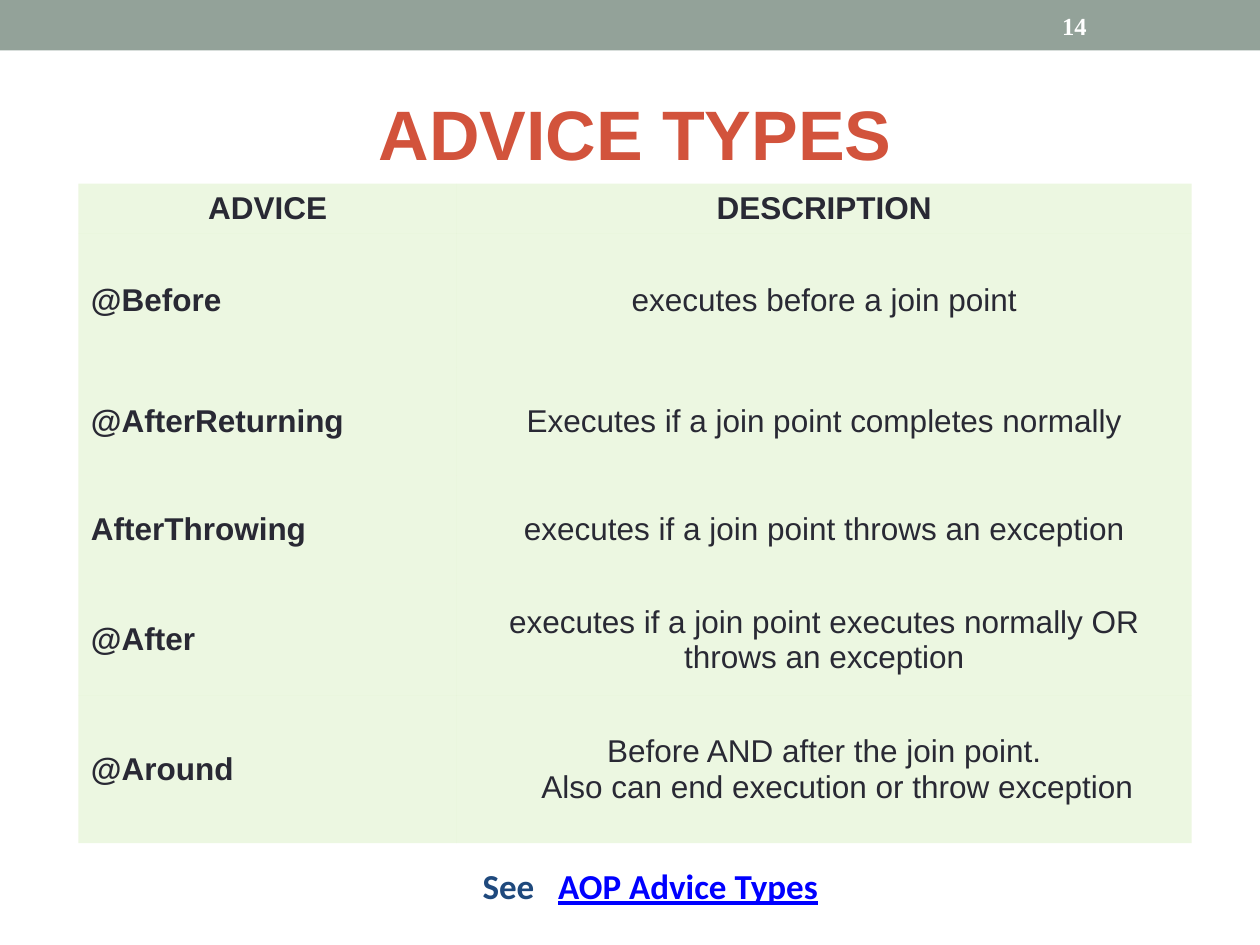
from dataclasses import dataclass

from lxml.etree import SubElement
from pptx import Presentation
from pptx.dml.color import RGBColor as Rgb
from pptx.enum.shapes import MSO_SHAPE as Shape
from pptx.enum.text import MSO_ANCHOR as Anchor, PP_ALIGN as Align
from pptx.oxml.ns import qn
from pptx.util import Cm, Pt


@dataclass(frozen=True)
class Theme:
    """Colours, fonts and type sizes of the slide."""
    bar: str = "93A299"
    title: str = "D2533C"
    body: str = "292934"
    cell: str = "92D050"
    cell_opacity: int = 17
    note: str = "1F497D"
    link: str = "0000FF"
    white: str = "FFFFFF"
    sans: str = "Arial"
    note_font: str = "Calibri"
    number_font: str = "Times New Roman"
    title_size: int = 40
    body_size: int = 18
    note_size: int = 20
    number_size: int = 14


THEME = Theme()
NO_GRID_STYLE = "{2D5ABB26-0587-4C30-8999-92F81FD0307C}"
HEADINGS = ("ADVICE", "DESCRIPTION")
ADVICE = (
    ("@Before", "executes before a join point"),
    ("@AfterReturning", "Executes if a join point completes normally"),
    ("AfterThrowing", "executes if a join point throws an exception"),
    ("@After", "executes if a join point executes normally OR throws an exception"),
    ("@Around", "Before AND after the join point.\nAlso can end execution or throw exception"),
)
COLUMN_WIDTHS = (7.63, 14.81)
ROW_HEIGHTS = (0.98, 2.69, 2.18, 2.18, 2.26, 2.97)


def add_run(paragraph, text, *, size, color, font=THEME.sans, bold=True,
            underline=None, spacing=0):
    """Append formatted text to a paragraph."""
    run = paragraph.add_run()
    run.text = text
    run.font.size, run.font.name = Pt(size), font
    run.font.bold, run.font.underline = bold, underline
    run.font.color.rgb = Rgb.from_string(color)
    if spacing:
        run.font._element.set("spc", str(spacing * 100))


def add_text_box(slide, box, *, align=Align.LEFT, anchor=Anchor.TOP):
    """Add a wrapping text box and return its first paragraph."""
    frame = slide.shapes.add_textbox(*map(Cm, box)).text_frame
    frame.word_wrap = True
    frame.vertical_anchor = anchor
    frame.paragraphs[0].alignment = align
    return frame.paragraphs[0]


def add_top_bar(slide, left, top, width, height):
    """Draw the bar with the slide number near its right end."""
    bar = slide.shapes.add_shape(Shape.RECTANGLE, Cm(left), Cm(top), Cm(width), Cm(height))
    bar.shadow.inherit = False
    bar.fill.solid()
    bar.fill.fore_color.rgb = Rgb.from_string(THEME.bar)
    bar.line.fill.background()
    number = add_text_box(slide, (left + width - 4.24, top + 0.05, 2.97, height - 0.1),
                          anchor=Anchor.MIDDLE)
    add_run(number, "14", size=THEME.number_size, color=THEME.white, font=THEME.number_font)


def add_title(slide, *box):
    """Write the centred title."""
    title = add_text_box(slide, box, align=Align.CENTER)
    add_run(title, "ADVICE TYPES", size=THEME.title_size, color=THEME.title)


def fill_cell(cell, text, *, align, bold):
    """Tint a cell and write one paragraph for each line of text."""
    cell.vertical_anchor = Anchor.MIDDLE
    cell.fill.solid()
    cell.fill.fore_color.rgb = Rgb.from_string(THEME.cell)
    color = cell._tc.tcPr.find(".//" + qn("a:srgbClr"))
    SubElement(color, qn("a:alpha")).set("val", str(THEME.cell_opacity * 1000))
    for index, line in enumerate(text.split("\n")):
        frame = cell.text_frame
        paragraph = frame.add_paragraph() if index else frame.paragraphs[0]
        paragraph.alignment = align
        if index:
            paragraph._p.get_or_add_pPr().set("marL", str(Pt(15)))
        add_run(paragraph, line, size=THEME.body_size, color=THEME.body, bold=bold)


def add_advice_table(slide, left, top):
    """Build the table of advice types and their descriptions."""
    rows = (HEADINGS, *ADVICE)
    table = slide.shapes.add_table(
        len(rows), len(HEADINGS), Cm(left), Cm(top),
        Cm(sum(COLUMN_WIDTHS)), Cm(sum(ROW_HEIGHTS))).table
    table.first_row = table.horz_banding = False
    table._tbl.tblPr.find(qn("a:tableStyleId")).text = NO_GRID_STYLE
    for column, width in zip(table.columns, COLUMN_WIDTHS):
        column.width = Cm(width)
    for row, height in zip(table.rows, ROW_HEIGHTS):
        row.height = Cm(height)
    for r, texts in enumerate(rows):
        for c, text in enumerate(texts):
            heading, name = r == 0, c == 0
            fill_cell(table.cell(r, c), text, bold=heading or name,
                      align=Align.LEFT if name and not heading else Align.CENTER)


def add_see_note(slide, *box):
    """Write the closing reference, styled as a link."""
    note = add_text_box(slide, box, align=Align.CENTER)
    style = {"size": THEME.note_size, "font": THEME.note_font}
    add_run(note, "See", color=THEME.note, **style)
    add_run(note, " ", color=THEME.note, spacing=9, **style)
    add_run(note, "AOP Advice Types", color=THEME.link, underline=True, **style)


def build_slide(presentation):
    """Lay out the advice types slide."""
    slide = presentation.slides.add_slide(presentation.slide_layouts[6])
    add_top_bar(slide, 0, 0, 25.4, 1.02)
    add_advice_table(slide, 1.58, 3.7)
    add_title(slide, 0.84, 1.7, 23.93, 1.96)
    add_see_note(slide, 2.1, 17.3, 22.02, 1.12)


presentation = Presentation()
presentation.slide_width, presentation.slide_height = Cm(25.4), Cm(19.05)
build_slide(presentation)
presentation.save("out.pptx")
